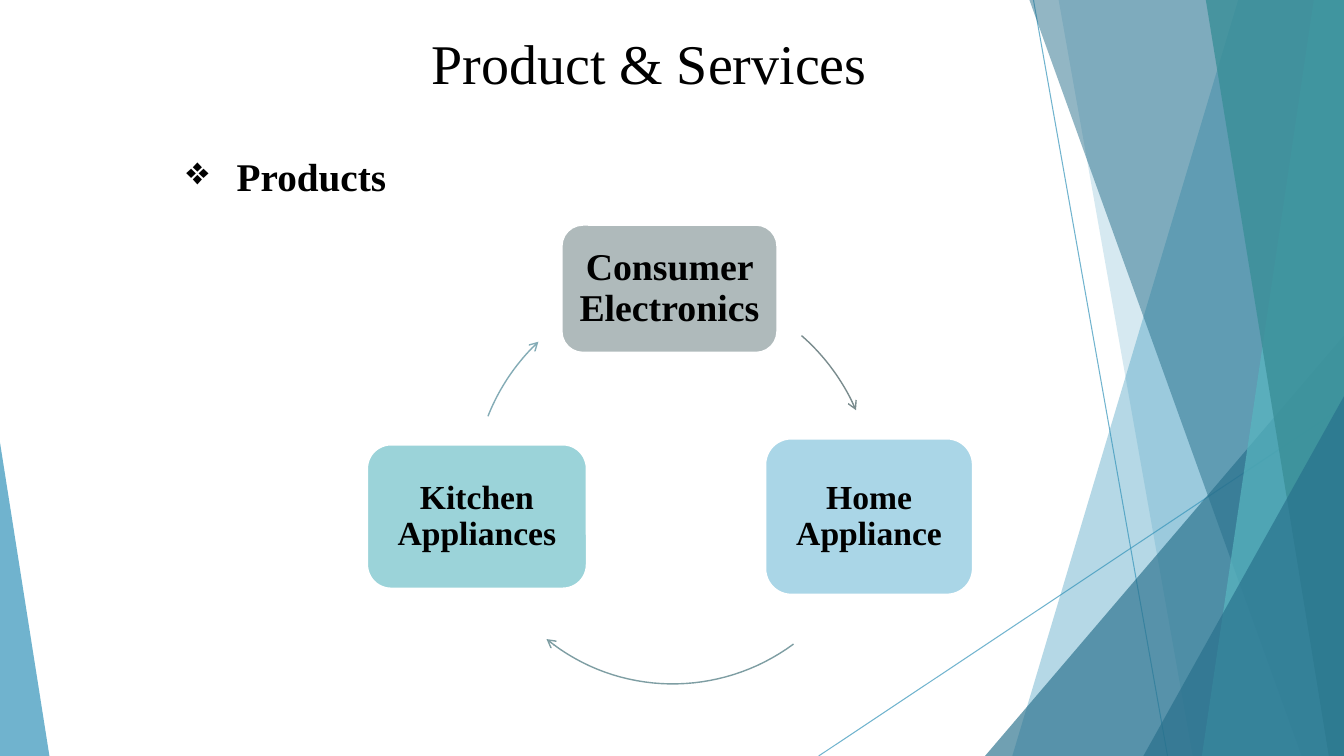
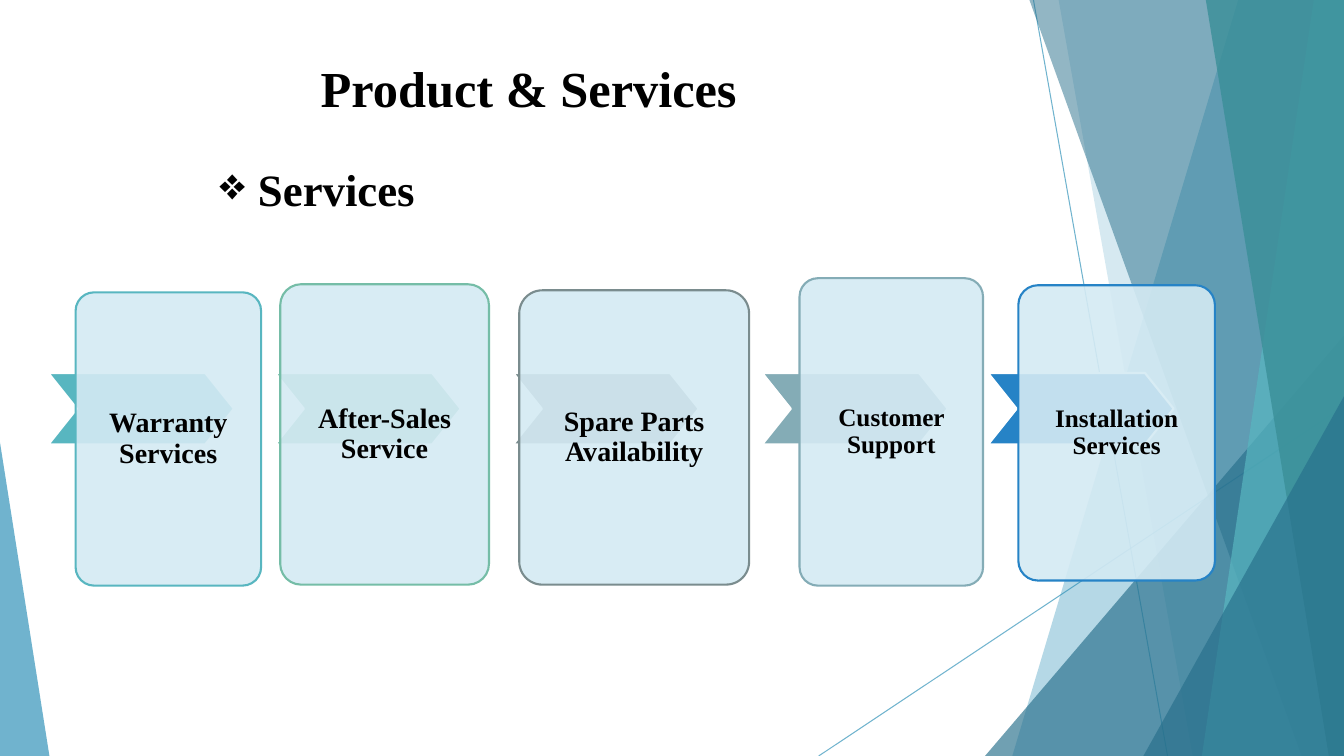
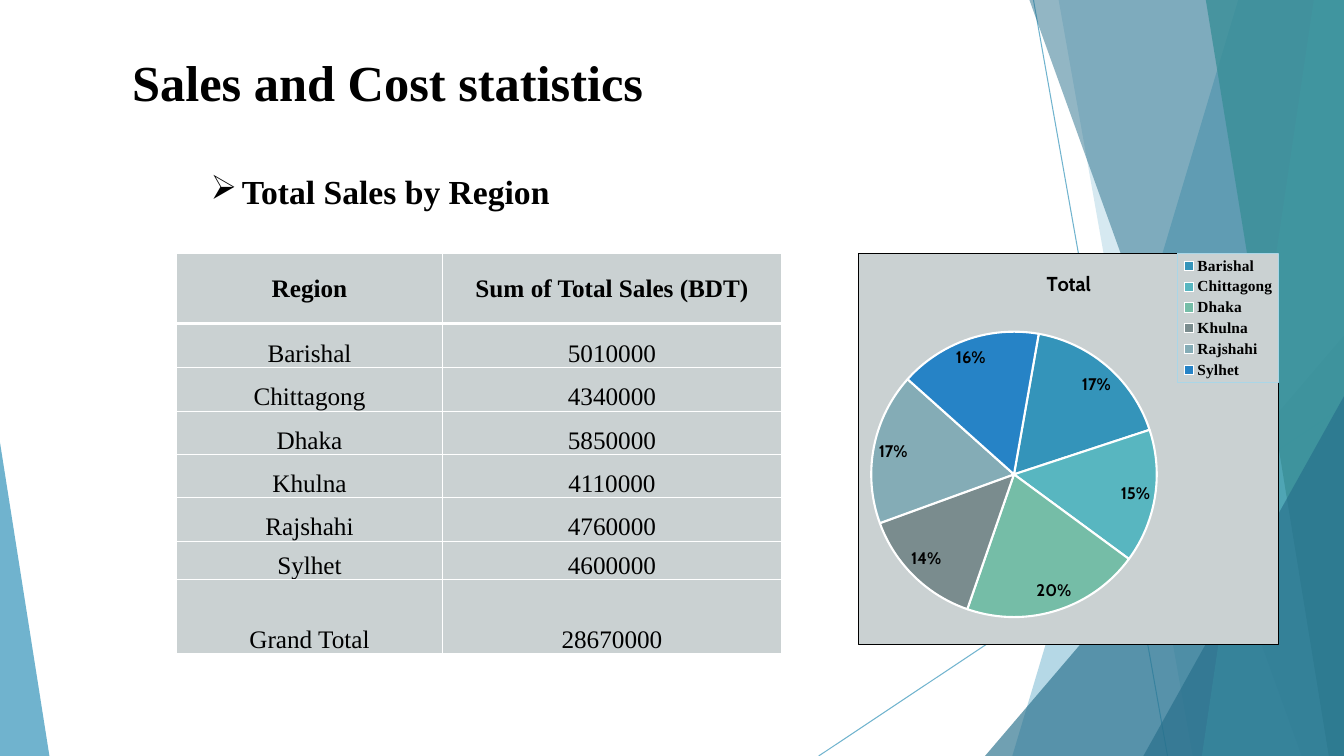
from dataclasses import dataclass
from typing import Any, Optional

import lxml.etree
import pptx
import pptx.chart.data
import pptx.dml.color
import pptx.enum.chart
import pptx.enum.shapes
import pptx.enum.text
import pptx.oxml
import pptx.oxml.ns
import pptx.util

Inches = pptx.util.Inches
Pt = pptx.util.Pt
qn = pptx.oxml.ns.qn
SHAPE = pptx.enum.shapes.MSO_SHAPE
ALIGN = pptx.enum.text.PP_ALIGN
ANCHOR = pptx.enum.text.MSO_ANCHOR

COLORS = {
    "black": "000000", "white": "FFFFFF", "blue": "3494BA", "deep": "276F8B",
    "teal": "58B6C0", "dark_teal": "3A8F98", "green": "75BDA7", "gray": "7A8C8E",
    "slate": "84ACB6", "bright": "2683C6", "steel": "7E9EA3", "card": "D4EAF3",
    "pale_gray": "AFBABB", "pale_blue": "AAD6E7", "pale_teal": "9BD3D9",
    "panel": "CAD1D2",
}
SERIF = "Times New Roman"
WIDTH, HEIGHT = 13.33, 7.5
Point = tuple[float, float]
Box = tuple[float, float, float, float]


@dataclass
class Band:
    points: list[Point]
    color: str
    alpha: int


@dataclass
class Triangle:
    box: Box
    apex: float
    color: str
    alpha: int


@dataclass
class Card:
    text: str
    box: Box
    color: str
    size: float


@dataclass
class Service:
    card: Card
    chevron_left: float
    margin: float


@dataclass
class Arc:
    curve: list[Point]
    color: str


BACKDROP_LINES = [((10.25, 0), (11.58, HEIGHT)), ((WIDTH, 4.03), (8.12, HEIGHT))]


def right_band(top: float, bottom: float, color: str, alpha: int) -> Band:
    """A band from a slanted left edge to the right side of the slide."""
    return Band([(top, 0), (WIDTH, 0), (WIDTH, HEIGHT), (bottom, HEIGHT)], color, alpha)


BACKDROP = [
    right_band(12.28, 10.04, "blue", 36),
    right_band(10.5, 11.83, "blue", 20),
    Triangle((9.77, 3.33, 3.56, 4.17), 1, "deep", 66),
    right_band(10.21, 12.91, "deep", 50),
    right_band(13.03, 11.92, "teal", 70),
    right_band(11.96, 13.18, "dark_teal", 80),
    Triangle((11.34, 3.93, 1.99, 3.57), 1, "deep", 66),
    Triangle((0, 4.39, 0.49, 3.11), 0, "blue", 70),
]

PRODUCTS = [
    Card("Consumer Electronics", (5.57, 2.23, 2.14, 1.27), "pale_gray", 27),
    Card("Home Appliance", (7.59, 4.35, 2.06, 1.55), "pale_blue", 24),
    Card("Kitchen Appliances", (3.64, 4.41, 2.18, 1.43), "pale_teal", 24),
]
CYCLE_ARCS = [
    Arc([(7.95, 3.33), (8.18, 3.53), (8.37, 3.79), (8.49, 4.07)], "gray"),
    Arc([(7.87, 6.39), (7.14, 6.93), (6.13, 6.92), (5.42, 6.34)], "steel"),
    Arc([(4.84, 4.13), (4.95, 3.85), (5.12, 3.6), (5.34, 3.39)], "slate"),
]
SERVICES = [
    Service(Card("Warranty Services", (0.75, 2.9, 1.84, 2.91), "teal", 20), 0.48, 0.16),
    Service(Card("After-Sales Service", (2.78, 2.82, 2.07, 2.98), "green", 20), 2.73, 0.16),
    Service(Card("Spare Parts Availability", (5.15, 2.88, 2.28, 2.92), "gray", 20), 5.09, 0.16),
    Service(Card("Customer Support", (7.93, 2.76, 1.82, 3.05), "slate", 18), 7.56, 0.14),
    Service(Card("Installation Services", (10.1, 2.83, 1.95, 2.93), "bright", 18), 9.8, 0.14),
]
SALES = [
    ("Region", "Sum of Total Sales (BDT)"),
    ("Barishal", "5010000"), ("Chittagong", "4340000"), ("Dhaka", "5850000"),
    ("Khulna", "4110000"), ("Rajshahi", "4760000"), ("Sylhet", "4600000"),
    ("Grand Total", "28670000"),
]
COLUMN_WIDTHS = [2.64, 3.36]
ROW_HEIGHTS = [0.7, 0.44, 0.43, 0.43, 0.43, 0.43, 0.38, 0.74]
SHARES = [17, 15, 20, 14, 17, 16]
SLICE_COLORS = ["blue", "teal", "green", "gray", "slate", "bright"]


# Formatting helpers
def rgb(name: str) -> Any:
    return pptx.dml.color.RGBColor.from_string(COLORS[name])


def apply(target: Any, values: dict[str, Any]) -> None:
    for name, value in values.items():
        setattr(target, name, value)


def style_font(font: Any, size: float, bold: bool = True, name: str = SERIF) -> None:
    apply(font, {"name": name, "size": Pt(size), "bold": bold})
    font.color.rgb = rgb("black")


def inches(box: Box) -> list[int]:
    return [Inches(value) for value in box]


def child(parent: Any, tag: str, **attributes: Any) -> Any:
    values = {name: str(value) for name, value in attributes.items()}
    return lxml.etree.SubElement(parent, qn(tag), values)


def set_alpha(parent: Any, percent: int) -> None:
    color = parent.find(qn("a:solidFill")).find(qn("a:srgbClr"))
    child(color, "a:alpha", val=percent * 1000)


def paint(shape: Any, color: Optional[str], alpha: int = 100,
          line: Optional[str] = None, width: float = 1.5) -> None:
    shape.shadow.inherit = False
    if color:
        shape.fill.solid()
        shape.fill.fore_color.rgb = rgb(color)
        if alpha < 100:
            set_alpha(shape.element.spPr, alpha)
    else:
        shape.fill.background()
    if line:
        shape.line.color.rgb = rgb(line)
        shape.line.width = Pt(width)
    else:
        shape.line.fill.background()


def set_margins(target: Any, horizontal: float, vertical: float) -> None:
    apply(target, {"margin_left": Inches(horizontal), "margin_right": Inches(horizontal),
                   "margin_top": Inches(vertical), "margin_bottom": Inches(vertical)})


# Shared slide parts
def draw_outline(slide: Any, points: list[Point], close: bool) -> Any:
    corners = [(Inches(x), Inches(y)) for x, y in points]
    builder = slide.shapes.build_freeform(*corners[0])
    builder.add_line_segments(corners[1:], close=close)
    return builder.convert_to_shape()


def draw_backdrop(slide: Any) -> None:
    for start, end in BACKDROP_LINES:
        connector = slide.shapes.add_connector(
            pptx.enum.shapes.MSO_CONNECTOR.STRAIGHT, *inches(start + end))
        connector.line.color.rgb = rgb("blue")
        connector.line.width = Pt(0.75)
        properties = connector.element.spPr
        set_alpha(properties.find(qn("a:ln")), 70)
        child(properties, "a:effectLst")
    for part in BACKDROP:
        if isinstance(part, Band):
            shape = draw_outline(slide, part.points, True)
        else:
            shape = slide.shapes.add_shape(SHAPE.ISOSCELES_TRIANGLE, *inches(part.box))
            shape.adjustments[0] = part.apex
        paint(shape, part.color, part.alpha)


def build_layout(presentation: Any, slide: Any) -> None:
    """Move the backdrop from an otherwise empty slide to its layout."""
    layout = slide.slide_layout
    for placeholder in list(layout.placeholders):
        if placeholder.placeholder_format.type != pptx.enum.shapes.PP_PLACEHOLDER.TITLE:
            layout.shapes.element.remove(placeholder.element)
    draw_backdrop(slide)
    for shape in list(slide.shapes):
        if not shape.is_placeholder:
            layout.shapes.element.append(shape.element)


def set_title(slide: Any, text: str, box: Box, size: float, bold: bool = True) -> None:
    title = slide.shapes.title
    apply(title, dict(zip(("left", "top", "width", "height"), inches(box))))
    frame = title.text_frame
    apply(frame, {"text": text, "vertical_anchor": ANCHOR.TOP, "word_wrap": True,
                  "auto_size": pptx.enum.text.MSO_AUTO_SIZE.NONE})
    paragraph = frame.paragraphs[0]
    paragraph.alignment = ALIGN.LEFT
    style_font(paragraph.runs[0].font, size, bold)


def add_heading(slide: Any, text: str, box: Box, size: float,
                bullet: str, indent: float, wrap: bool = True) -> None:
    frame = slide.shapes.add_textbox(*inches(box)).text_frame
    apply(frame, {"text": text, "word_wrap": wrap})
    paragraph = frame.paragraphs[0]
    properties = paragraph._p.get_or_add_pPr()
    properties.set("marL", str(Inches(indent)))
    properties.set("indent", str(-Inches(indent)))
    child(properties, "a:buChar", char=bullet)
    style_font(paragraph.runs[0].font, size)


def add_card(slide: Any, card: Card, margin: float) -> Any:
    shape = slide.shapes.add_shape(SHAPE.ROUNDED_RECTANGLE, *inches(card.box))
    frame = shape.text_frame
    apply(frame, {"text": card.text, "word_wrap": True, "vertical_anchor": ANCHOR.MIDDLE})
    set_margins(frame, margin, margin)
    paragraph = frame.paragraphs[0]
    apply(paragraph, {"alignment": ALIGN.CENTER, "line_spacing": 0.9})
    style_font(paragraph.runs[0].font, card.size)
    return shape


# Products slide
def curve_points(curve: list[Point], steps: int = 32) -> list[Point]:
    """Sample a cubic curve at equal parameter steps."""
    points = []
    for step in range(steps + 1):
        t = step / steps
        weights = ((1 - t) ** 3, 3 * t * (1 - t) ** 2, 3 * t * t * (1 - t), t ** 3)
        points.append((sum(w * x for w, (x, _) in zip(weights, curve)),
                       sum(w * y for w, (_, y) in zip(weights, curve))))
    return points


def build_products(slide: Any) -> None:
    set_title(slide, "Product & Services", (4.18, 0.23, 5.81, 0.77), 40, bold=False)
    add_heading(slide, "Products", (1.75, 1.46, 3.36, 0.57), 28, "❖", 0.5)
    for card in PRODUCTS:
        paint(add_card(slide, card, 0.1), card.color, line="white")
    for arc in CYCLE_ARCS:
        shape = draw_outline(slide, curve_points(arc.curve), False)
        paint(shape, None, line=arc.color, width=1)
        child(shape.element.spPr.find(qn("a:ln")), "a:tailEnd", type="arrow")


# Services slide
def build_services(slide: Any) -> None:
    set_title(slide, "Product & Services", (3.08, 0.52, 10.25, 1.92), 36)
    for service in SERVICES:
        chevron = slide.shapes.add_shape(
            SHAPE.CHEVRON, *inches((service.chevron_left, 3.7, 1.84, 0.71)))
        chevron.adjustments[0] = 0.4
        paint(chevron, service.card.color, line="white")
        card = add_card(slide, service.card, service.margin)
        card.adjustments[0] = 0.1
        paint(card, "card", 90, service.card.color)
    add_heading(slide, "Services", (2.08, 1.56, 2.22, 0.64), 32, "❖", 0.38)


# Sales slide
def set_borders(cell: Any, widths: dict[str, float]) -> None:
    properties = cell._tc.get_or_add_tcPr()
    for index, side in enumerate("LRTB"):
        line = lxml.etree.Element(qn(f"a:ln{side}"), w=str(Pt(widths.get(side, 1))))
        child(child(line, "a:solidFill"), "a:srgbClr", val=COLORS["white"])
        properties.insert(index, line)


def add_sales_table(slide: Any) -> None:
    table = slide.shapes.add_table(
        len(SALES), len(COLUMN_WIDTHS), *inches((1.75, 2.51, 6, 3.98))).table
    for column, width in zip(table.columns, COLUMN_WIDTHS):
        column.width = Inches(width)
    for row_index, (row, height) in enumerate(zip(table.rows, ROW_HEIGHTS)):
        row.height = Inches(height)
        header = row_index == 0
        for cell, text in zip(row.cells, SALES[row_index]):
            apply(cell, {"text": text,
                         "vertical_anchor": ANCHOR.MIDDLE if header else ANCHOR.BOTTOM})
            set_margins(cell, 0.07, 0)
            cell.fill.solid()
            cell.fill.fore_color.rgb = rgb("panel")
            set_borders(cell, {0: {"B": 3}, 1: {"T": 3}}.get(row_index, {}))
            paragraph = cell.text_frame.paragraphs[0]
            apply(paragraph, {"alignment": ALIGN.CENTER, "line_spacing": 1.07})
            style_font(paragraph.runs[0].font, 18, header)


def manual_layout(box: Box, inner: bool = False) -> Any:
    layout = lxml.etree.Element(qn("c:layout"))
    manual = child(layout, "c:manualLayout")
    if inner:
        child(manual, "c:layoutTarget", val="inner")
    for axis in "xy":
        child(manual, f"c:{axis}Mode", val="edge")
    for name, value in zip("xywh", box):
        child(manual, f"c:{name}", val=value)
    return layout


def chart_frame(line: str, fill: Optional[str] = None) -> Any:
    properties = lxml.etree.Element(qn("c:spPr"))
    if fill:
        child(child(properties, "a:solidFill"), "a:srgbClr", val=COLORS[fill])
    outline = child(properties, "a:ln", w=Pt(0.75))
    child(child(outline, "a:solidFill"), "a:srgbClr", val=COLORS[line])
    return properties


def place_chart_parts(chart: Any) -> None:
    """Set the frame, plot area and legend places, which need XML."""
    space = chart.element
    space.find(qn("c:chart")).addnext(chart_frame("black", "panel"))
    plot_area = space.find(".//" + qn("c:plotArea"))
    legend = space.find(".//" + qn("c:legend"))
    for part in (plot_area, legend):
        for layout in part.findall(qn("c:layout")):
            part.remove(layout)
    plot_area.insert(0, manual_layout((0.03, 0.2, 0.68, 0.73), inner=True))
    legend.find(qn("c:legendPos")).addnext(manual_layout((0.76, 0, 0.24, 0.33)))
    legend.find(qn("c:overlay")).addnext(chart_frame("pale_blue"))
    pie = plot_area.find(qn("c:pieChart"))
    for angle in pie.findall(qn("c:firstSliceAng")):
        pie.remove(angle)
    child(pie, "c:firstSliceAng", val=10)


def add_sales_chart(slide: Any) -> None:
    data = pptx.chart.data.CategoryChartData()
    data.categories = [region for region, _ in SALES[1:-1]]
    data.add_series("Total", SHARES)
    chart = slide.shapes.add_chart(pptx.enum.chart.XL_CHART_TYPE.PIE,
                                   *inches((8.51, 2.51, 4.18, 3.89)), data).chart
    style_font(chart.font, 12, name="Cabin")
    apply(chart, {"has_title": True, "has_legend": True})
    title = chart.chart_title.text_frame
    title.text = "Total"
    style_font(title.paragraphs[0].runs[0].font, 14.4, name="Cabin")
    apply(chart.legend, {"position": pptx.enum.chart.XL_LEGEND_POSITION.CORNER,
                         "include_in_layout": False})
    style_font(chart.legend.font, 11)

    plot = chart.plots[0]
    apply(plot, {"vary_by_categories": True, "has_data_labels": True})
    labels = plot.data_labels
    apply(labels, {"show_percentage": True, "show_value": False,
                   "number_format": "0%", "number_format_is_linked": False,
                   "position": pptx.enum.chart.XL_LABEL_POSITION.BEST_FIT})
    style_font(labels.font, 12, name="Cabin")
    for index, color in enumerate(SLICE_COLORS):
        slice_format = plot.series[0].points[index].format
        slice_format.fill.solid()
        slice_format.fill.fore_color.rgb = rgb(color)
        slice_format.line.color.rgb = rgb("white")
        slice_format.line.width = Pt(1.5)
    place_chart_parts(chart)


def build_sales(slide: Any) -> None:
    set_title(slide, "Sales and Cost statistics", (1.21, 0.46, 11.6, 1.2), 36)
    add_heading(slide, "Total Sales by Region", (1.99, 1.65, 3.68, 0.5), 24,
                "➢", 0.31, wrap=False)
    add_sales_table(slide)
    add_sales_chart(slide)


def main() -> None:
    presentation = pptx.Presentation()
    presentation.slide_width = Inches(WIDTH)
    presentation.slide_height = Inches(HEIGHT)
    title_only = presentation.slide_layouts[5]
    for index, build in enumerate((build_products, build_services, build_sales)):
        slide = presentation.slides.add_slide(title_only)
        if index == 0:
            build_layout(presentation, slide)
        build(slide)
    presentation.save("out.pptx")


if __name__ == "__main__":
    main()
